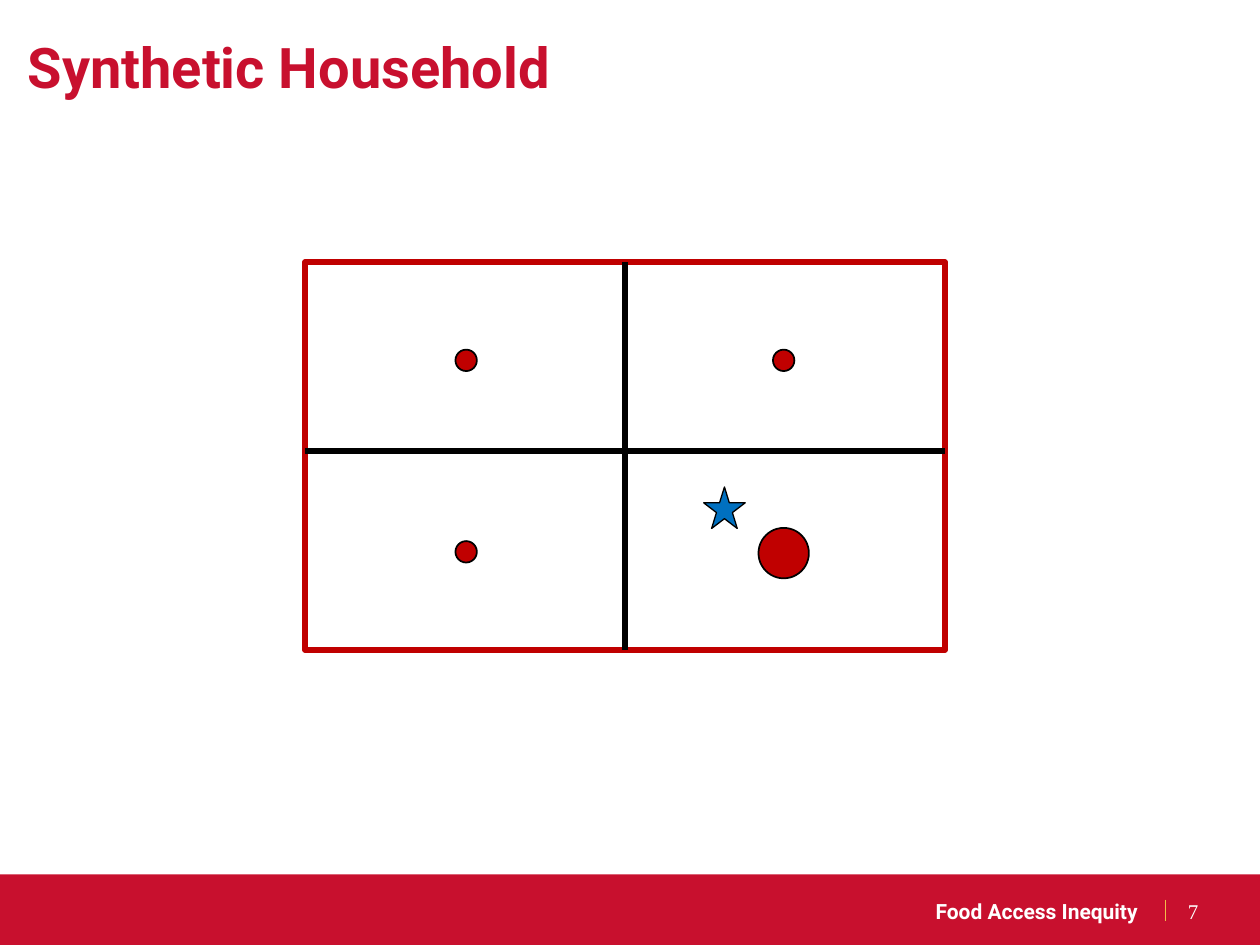
from lxml import etree
from pptx import Presentation
from pptx.dml.color import RGBColor
from pptx.enum.shapes import MSO_CONNECTOR, MSO_SHAPE
from pptx.enum.text import MSO_ANCHOR, MSO_AUTO_SIZE, PP_ALIGN
from pptx.oxml.ns import qn
from pptx.util import Inches, Pt

# Content
TITLE = "Synthetic Household"
FOOTER = "Food Access Inequity"
PAGE = "7"
COLORS = {"brand": "C8102E", "red": "C00000", "blue": "0070C0",
          "black": "000000", "white": "FFFFFF", "gold": "F1BE48"}

# Grid: left, top, width, height, and the inner dividing lines
LEFT, TOP, WIDTH, HEIGHT = 2.42, 2.08, 5.08, 3.08
MID_X, MID_Y = LEFT + WIDTH / 2, 3.58
# Markers: shape, centre x, centre y, size, fill, line width
DOT, STAR = MSO_SHAPE.OVAL, MSO_SHAPE.STAR_5_POINT
MARKERS = [
    (DOT, 3.7, 2.86, 0.17, "red", 1),
    (DOT, 6.22, 2.86, 0.17, "red", 1),
    (DOT, 3.7, 4.38, 0.17, "red", 1),
    (DOT, 6.22, 4.39, 0.4, "red", 1),
    (STAR, 5.75, 4.03, 0.33, "blue", 0.75),
]


def rgb(name):
    return RGBColor.from_string(COLORS[name])


def add_shape(s, kind, box, fill=None, line=None, width=1):
    sp = s.shapes.add_shape(kind, *map(Inches, box))
    sp.shadow.inherit = False
    if fill:
        sp.fill.solid()
        sp.fill.fore_color.rgb = rgb(fill)
    else:
        sp.fill.background()
    if line:
        sp.line.color.rgb = rgb(line)
        sp.line.width = Pt(width)
    else:
        sp.line.fill.background()


def add_line(s, ends, color, width):
    ln = s.shapes.add_connector(MSO_CONNECTOR.STRAIGHT, *map(Inches, ends))
    ln.line.color.rgb = rgb(color)
    ln.line.width = Pt(width)
    etree.SubElement(ln._element.spPr, qn("a:effectLst"))


def set_text(sp, text, size, font, color, bold, align, anchor):
    tf = sp.text_frame
    tf.text = text
    tf.word_wrap = True
    tf.auto_size = MSO_AUTO_SIZE.NONE
    tf.vertical_anchor = anchor
    p = tf.paragraphs[0]
    p.alignment = align
    f = p.runs[0].font
    f.size, f.name, f.bold = Pt(size), font, bold
    f.color.rgb = rgb(color)
    return tf


prs = Presentation()
prs.slide_width, prs.slide_height = Inches(10), Inches(7.5)
s = prs.slides.add_slide(prs.slide_layouts[5])

# Footer band
add_shape(s, MSO_SHAPE.RECTANGLE, (0, 6.94, 10, 0.56), fill="brand")
footer = s.shapes.add_textbox(*map(Inches, (4.55, 7.08, 4.58, 0.31)))
set_text(footer, FOOTER, 12, "Roboto", "white", True, PP_ALIGN.RIGHT, MSO_ANCHOR.TOP)
add_line(s, (9.25, 7.14, 9.25, 7.31), "gold", 0.75)
page = s.shapes.add_textbox(*map(Inches, (9.33, 7.08, 0.58, 0.3)))
set_text(page, PAGE, 12, "Times New Roman", "white", False, PP_ALIGN.LEFT, MSO_ANCHOR.MIDDLE)

# Title
title = s.shapes.title
title.left, title.top, title.width, title.height = map(Inches, (0.16, 0.15, 9.63, 0.82))
tf = set_text(title, TITLE, 32, "Roboto", "brand", True, PP_ALIGN.LEFT, MSO_ANCHOR.MIDDLE)
tf.margin_left = tf.margin_right = Inches(0.06)
tf.margin_top = tf.margin_bottom = Inches(0.03)
tf.paragraphs[0].line_spacing = 0.9

# Area split into four blocks
add_shape(s, MSO_SHAPE.RECTANGLE, (LEFT, TOP, WIDTH, HEIGHT), line="red", width=3)
add_line(s, (MID_X, TOP, MID_X, TOP + HEIGHT), "black", 3)
add_line(s, (LEFT, MID_Y, LEFT + WIDTH, MID_Y), "black", 3)

# Block centres and the household star
for kind, x, y, size, fill, width in MARKERS:
    add_shape(s, kind, (x - size / 2, y - size / 2, size, size), fill, "black", width)

prs.save("out.pptx")
